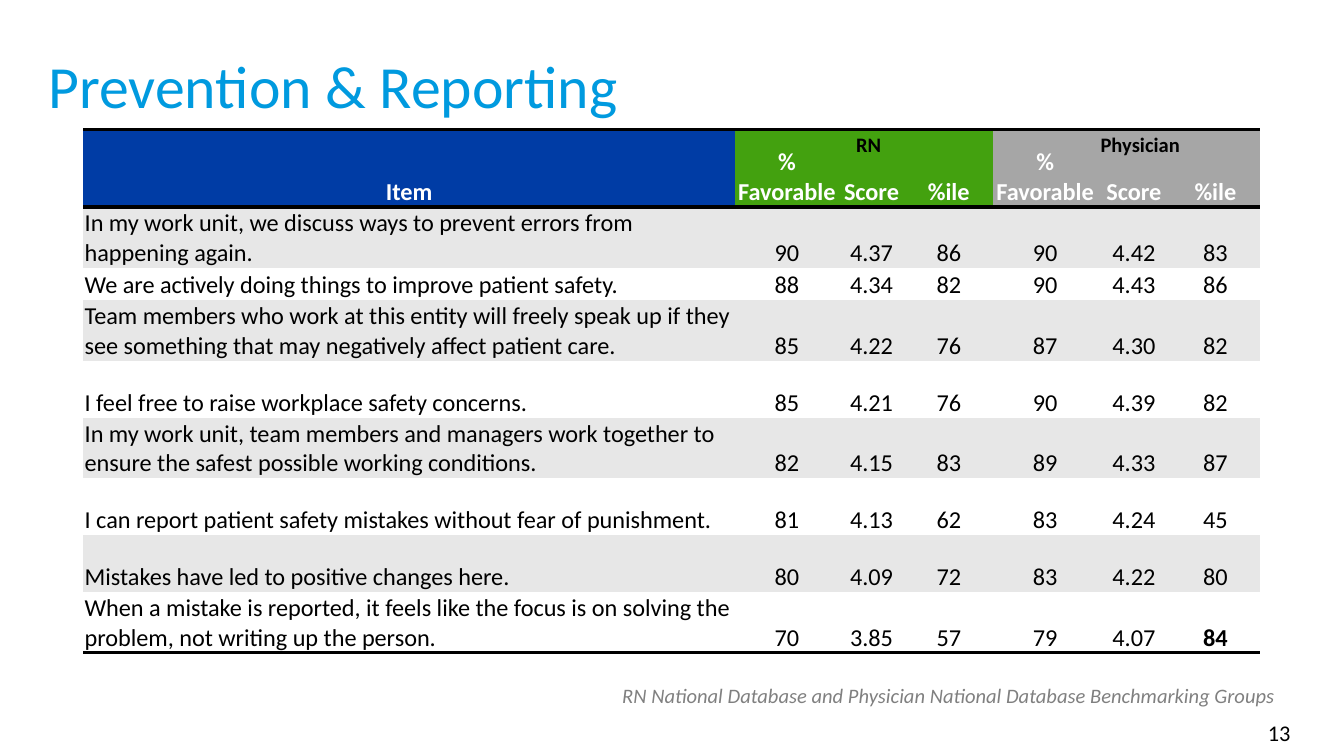
from typing import NamedTuple

from lxml.etree import SubElement
from pptx import Presentation
from pptx.dml.color import RGBColor
from pptx.enum.text import MSO_ANCHOR, PP_ALIGN
from pptx.oxml.ns import qn
from pptx.util import Cm, Pt

BLACK, WHITE, BAND = "000000", "FFFFFF", "E7E7E7"
ITEM_BLUE, RN_GREEN, PHYSICIAN_GRAY = "003CA5", "43A10F", "A6A6A6"
PLAIN_TABLE_STYLE = "{2D5ABB26-0587-4C30-8999-92F81FD0307C}"


class Rating(NamedTuple):
    item: str
    rn: tuple[str, str, str]
    physician: tuple[str, str, str]


class Label(NamedTuple):
    text: str
    left: float
    top: float
    width: float
    height: float
    style: dict


MEASURES = ("% Favorable", "Score", "%ile")
HEADER = Rating("Item", MEASURES, MEASURES)
RATINGS = [
    Rating("In my work unit, we discuss ways to prevent errors from happening again.",
           ("90", "4.37", "86"), ("90", "4.42", "83")),
    Rating("We are actively doing things to improve patient safety.",
           ("88", "4.34", "82"), ("90", "4.43", "86")),
    Rating("Team members who work at this entity will freely speak up if they see "
           "something that may negatively affect patient care.",
           ("85", "4.22", "76"), ("87", "4.30", "82")),
    Rating("I feel free to raise workplace safety concerns.",
           ("85", "4.21", "76"), ("90", "4.39", "82")),
    Rating("In my work unit, team members and managers work together to ensure the "
           "safest possible working conditions.",
           ("82", "4.15", "83"), ("89", "4.33", "87")),
    Rating("I can report patient safety mistakes without fear of punishment.",
           ("81", "4.13", "62"), ("83", "4.24", "45")),
    Rating("Mistakes have led to positive changes here.",
           ("80", "4.09", "72"), ("83", "4.22", "80")),
    Rating("When a mistake is reported, it feels like the focus is on solving the "
           "problem, not writing up the person.",
           ("70", "3.85", "57"), ("79", "4.07", "84")),
]
COLUMN_WIDTHS = [12.32, 1.96, 1.24, 1.68, 1.96, 1.4, 1.68]
ROW_HEIGHTS = [1.47, 0.91, 0.56] + [1.07] * 5 + [0.81]
HEADER_FILLS = [ITEM_BLUE] + [RN_GREEN] * 3 + [PHYSICIAN_GRAY] * 3

LABELS = [
    Label("RN", 15.93, 2.36, 1.22, 0.74, dict(size=11, bold=True)),
    Label("Physician", 20.55, 2.36, 2.03, 0.74, dict(size=11, bold=True)),
    Label("RN National Database and Physician National Database Benchmarking Groups",
          11.51, 12.78, 13.26, 0.74, dict(size=11, color="808080", italic=True)),
    Label("13", 21.54, 13.46, 3.1, 0.76, dict(size=12, align=PP_ALIGN.RIGHT)),
]


def rgb(value: str) -> RGBColor:
    return RGBColor.from_string(value)


def write(frame, text: str, *, size=13, color=BLACK, bold=False, italic=False,
          align=PP_ALIGN.LEFT) -> None:
    para = frame.paragraphs[0]
    para.alignment = align
    span = para.add_run()
    span.text = text
    span.font.name = "Calibri"
    span.font.size = Pt(size)
    span.font.bold = bold
    span.font.italic = italic
    span.font.color.rgb = rgb(color)


def add_rules(cell, sides: list[str]) -> None:
    """Draw black 2 pt borders; they must come before the cell's fill."""
    properties = cell._tc.get_or_add_tcPr()
    for position, side in enumerate(sides):
        line = SubElement(properties, qn(f"a:ln{side}"), w=str(Pt(2)))
        fill = SubElement(line, qn("a:solidFill"))
        SubElement(fill, qn("a:srgbClr"), val=BLACK)
        properties.insert(position, line)


def fill_cell(cell, text: str, row: int, column: int) -> None:
    header, last = row == 0, row == len(RATINGS)
    inset = Cm(0.05 if column > 3 and not header else 0.03)
    cell.margin_left = cell.margin_right = cell.margin_top = inset
    cell.margin_bottom = 0
    cell.vertical_anchor = MSO_ANCHOR.BOTTOM
    cell.fill.solid()
    band = BAND if row % 2 else WHITE
    cell.fill.fore_color.rgb = rgb(HEADER_FILLS[column] if header else band)
    write(cell.text_frame, text,
          color=WHITE if header else BLACK,
          bold=header or (last and column == 6),
          align=PP_ALIGN.CENTER if header or column else PP_ALIGN.LEFT)
    if header:
        add_rules(cell, ["T", "B"])
    elif last:
        add_rules(cell, ["B"])


def add_ratings_table(page) -> None:
    frame = page.shapes.add_table(
        len(ROW_HEIGHTS), len(COLUMN_WIDTHS), Cm(1.57), Cm(2.44),
        Cm(sum(COLUMN_WIDTHS)), Cm(sum(ROW_HEIGHTS)))
    table = frame.table
    table.first_row = table.horz_banding = False
    for style in frame.element.iter(qn("a:tableStyleId")):
        style.text = PLAIN_TABLE_STYLE
    for column, width in zip(table.columns, COLUMN_WIDTHS):
        column.width = Cm(width)
    for row, height in zip(table.rows, ROW_HEIGHTS):
        row.height = Cm(height)
    for row, rating in enumerate([HEADER, *RATINGS]):
        for column, text in enumerate((rating.item, *rating.rn, *rating.physician)):
            fill_cell(table.cell(row, column), text, row, column)


def add_label(page, label: Label) -> None:
    box = page.shapes.add_textbox(
        Cm(label.left), Cm(label.top), Cm(label.width), Cm(label.height))
    box.text_frame.word_wrap = label.width < 10
    write(box.text_frame, label.text, **label.style)


def main() -> None:
    deck = Presentation()
    deck.slide_width, deck.slide_height = Cm(25.4), Cm(14.28)
    page = deck.slides.add_slide(deck.slide_layouts[5])

    # Title
    title = page.shapes.title
    title.left, title.top, title.width, title.height = Cm(0.66), Cm(0.69), Cm(24.49), Cm(1.83)
    title.text_frame.vertical_anchor = MSO_ANCHOR.MIDDLE
    write(title.text_frame, "Prevention & Reporting", size=32, color="009ADF")

    # Ratings, then group headings, source note and page number
    add_ratings_table(page)
    for label in LABELS:
        add_label(page, label)

    deck.save("out.pptx")


if __name__ == "__main__":
    main()
